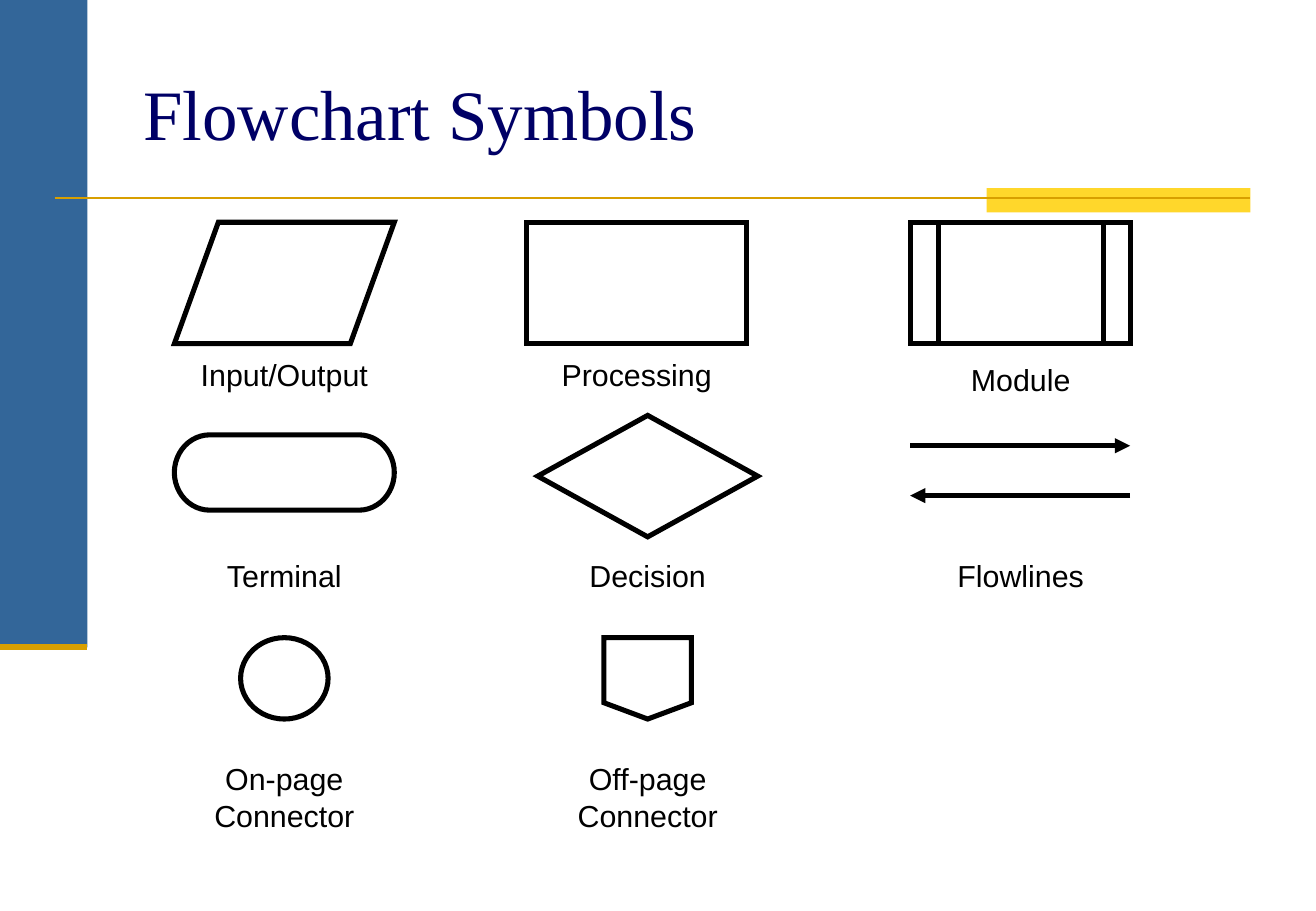
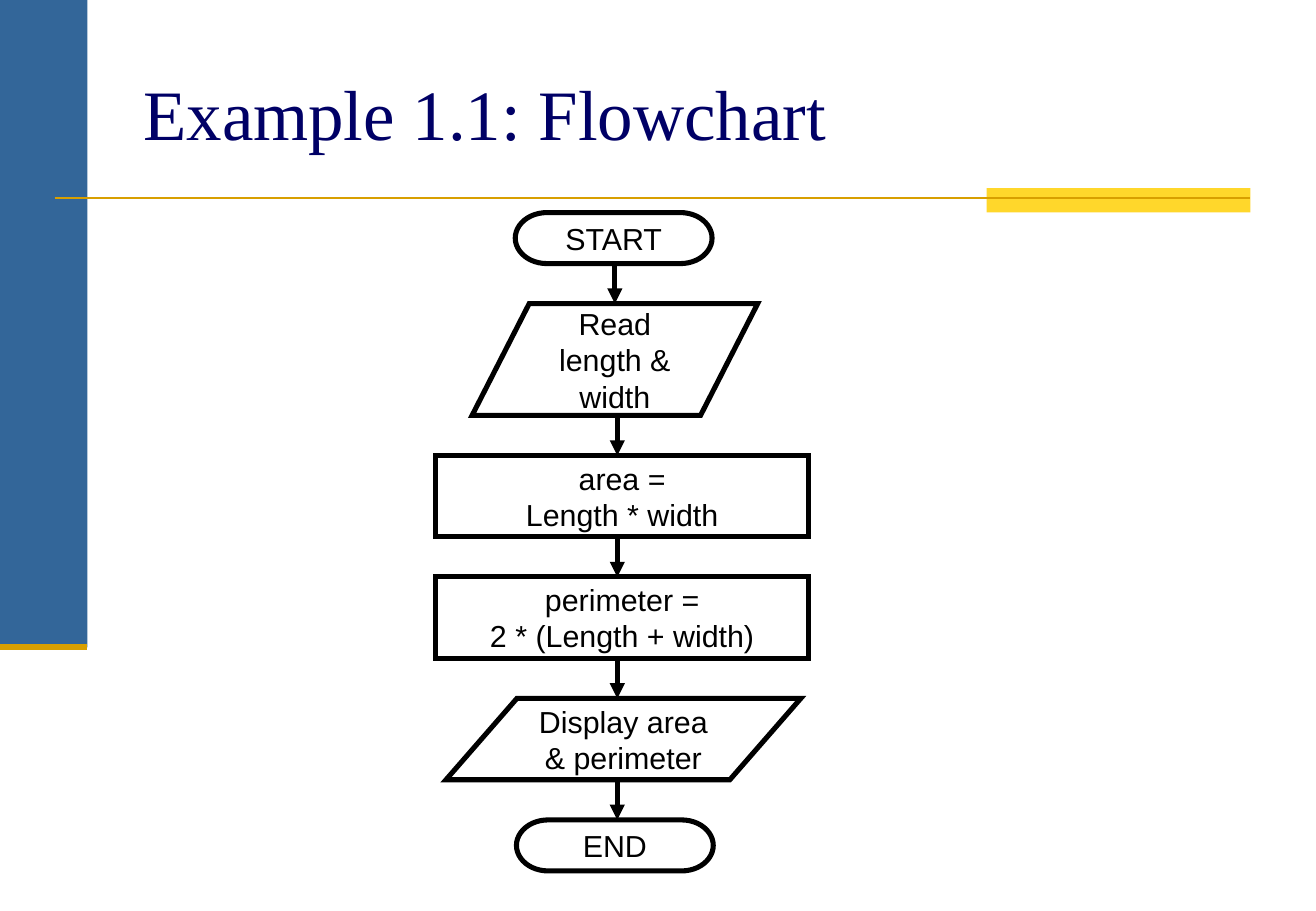
from dataclasses import dataclass
from itertools import pairwise

from pptx import Presentation
from pptx.dml.color import RGBColor
from pptx.enum.shapes import MSO_CONNECTOR, MSO_SHAPE as SHAPE
from pptx.enum.text import MSO_ANCHOR as ANCHOR, PP_ALIGN as ALIGN
from pptx.oxml.ns import qn
from pptx.util import Inches, Pt
from lxml.etree import SubElement


@dataclass(frozen=True)
class Theme:
    ink: str = "000000"
    paper: str = "FFFFFF"
    title: str = "000066"
    band: str = "336699"
    accent: str = "FFD72B"
    rule: str = "D89F00"
    title_font: str = "Times New Roman"
    body_font: str = "Arial"
    title_size: float = 42
    body_size: float = 18
    outline: float = 3


def rgb(value):
    return RGBColor.from_string(value)


def write(tf, text, *, font, size, color, align=ALIGN.CENTER, anchor=ANCHOR.MIDDLE):
    tf.word_wrap = True
    tf.vertical_anchor = anchor
    for i, line in enumerate(text.split("\n")):
        p = tf.add_paragraph() if i else tf.paragraphs[0]
        p.text = line
        p.alignment = align
        for r in p.runs:
            r.font.name = font
            r.font.size = Pt(size)
            r.font.color.rgb = rgb(color)


class Deck:
    """Builds slides in one shared style."""

    def __init__(self, theme):
        self.theme = theme
        self.prs = Presentation()
        self.prs.slide_width = Inches(10.83)
        self.prs.slide_height = Inches(7.5)
        self.body = dict(font=theme.body_font, size=theme.body_size, color=theme.ink)

    def slide(self, title):
        t = self.theme
        self.s = self.prs.slides.add_slide(self.prs.slide_layouts[5])
        self.block(0, 0, 0.72, 5.33, t.band)
        self.block(8.12, 1.55, 2.17, 0.2, t.accent)
        self.line(0.45, 1.63, 10.29, 1.63, color=t.rule, width=1.5)
        self.line(0, 5.33, 0.72, 5.33, color=t.rule, width=3.5)
        sp = self.s.shapes.title
        sp.left, sp.top, sp.width, sp.height = map(Inches, (1.08, 0.3, 9.21, 1.25))
        write(sp.text_frame, title, font=t.title_font, size=t.title_size,
              color=t.title, align=ALIGN.LEFT)

    def block(self, x, y, w, h, fill, kind=SHAPE.RECTANGLE):
        sp = self.s.shapes.add_shape(kind, *map(Inches, (x, y, w, h)))
        sp.shadow.inherit = False
        sp.fill.solid()
        sp.fill.fore_color.rgb = rgb(fill)
        sp.line.fill.background()
        return sp

    def symbol(self, kind, cx, y, w, h, text=""):
        sp = self.block(cx - w / 2, y, w, h, self.theme.paper, kind)
        sp.line.color.rgb = rgb(self.theme.ink)
        sp.line.width = Pt(self.theme.outline)
        SubElement(sp.line._get_or_add_ln(), qn("a:miter"), lim="800000")
        if text:
            write(sp.text_frame, text, **self.body)

    def label(self, text, cx, y, w):
        box = self.s.shapes.add_textbox(*map(Inches, (cx - w / 2, y, w, 0.38)))
        write(box.text_frame, text, anchor=ANCHOR.TOP, **self.body)

    def line(self, x1, y1, x2, y2, *, color, width):
        c = self.s.shapes.add_connector(
            MSO_CONNECTOR.STRAIGHT, *map(Inches, (x1, y1, x2, y2)))
        c.line.color.rgb = rgb(color)
        c.line.width = Pt(width)
        SubElement(c._element.spPr, qn("a:effectLst"))
        return c

    def arrow(self, x1, y1, x2, y2):
        c = self.line(x1, y1, x2, y2, color=self.theme.ink, width=self.theme.outline)
        SubElement(c.line._get_or_add_ln(), qn("a:tailEnd"), type="triangle")


def symbols_slide(deck):
    deck.slide("Flowchart Symbols")
    left, middle, right = 2.34, 5.33, 8.4
    for kind, cx, y, w, h in (
        (SHAPE.FLOWCHART_DATA, left, 1.83, 1.81, 1),
        (SHAPE.RECTANGLE, 5.24, 1.83, 1.81, 1),
        (SHAPE.FLOWCHART_PREDEFINED_PROCESS, right, 1.83, 1.81, 1),
        (SHAPE.FLOWCHART_TERMINATOR, left, 3.58, 1.81, 0.62),
        (SHAPE.FLOWCHART_DECISION, middle, 3.42, 1.81, 1),
        (SHAPE.FLOWCHART_CONNECTOR, left, 5.25, 0.72, 0.67),
        (SHAPE.FLOWCHART_OFFPAGE_CONNECTOR, middle, 5.25, 0.72, 0.67),
    ):
        deck.symbol(kind, cx, y, w, h)
    deck.arrow(7.49, 3.67, 9.3, 3.67)
    deck.arrow(9.3, 4.08, 7.49, 4.08)
    for text, cx, y, w in (
        ("Input/Output", left, 2.88, 2.17),
        ("Processing", 5.24, 2.88, 2.17),
        ("Module", right, 2.92, 2.17),
        ("Terminal", left, 4.54, 1.99),
        ("Decision", middle, 4.54, 1.99),
        ("Flowlines", right, 4.54, 1.99),
        ("On-page\vConnector", left, 6.21, 1.99),
        ("Off-page Connector", middle, 6.21, 1.99),
    ):
        deck.label(text, cx, y, w)


def example_slide(deck):
    deck.slide("Example 1.1: Flowchart")
    gap, y = 0.33, 1.75
    spans = []
    for kind, cx, w, h, text in (
        (SHAPE.FLOWCHART_TERMINATOR, 5.05, 1.62, 0.42, "START"),
        (SHAPE.FLOWCHART_DATA, 5.06, 2.35, 0.92, "Read length & width"),
        (SHAPE.RECTANGLE, 5.12, 3.07, 0.67, "area =\nLength * width"),
        (SHAPE.RECTANGLE, 5.12, 3.07, 0.67, "perimeter =\n2 * (Length + width)"),
        (SHAPE.FLOWCHART_DATA, 5.13, 2.92, 0.67, "Display area & perimeter"),
        (SHAPE.FLOWCHART_TERMINATOR, 5.06, 1.62, 0.42, "END"),
    ):
        deck.symbol(kind, cx, y, w, h, text)
        spans.append((y, y + h))
        y += h + gap
    for i, ((_, bottom), (top, _)) in enumerate(pairwise(spans)):
        x = 5.08 if i else 5.06
        deck.arrow(x, bottom, x, top)


def main():
    deck = Deck(Theme())
    symbols_slide(deck)
    example_slide(deck)
    deck.prs.save("out.pptx")


if __name__ == "__main__":
    main()
